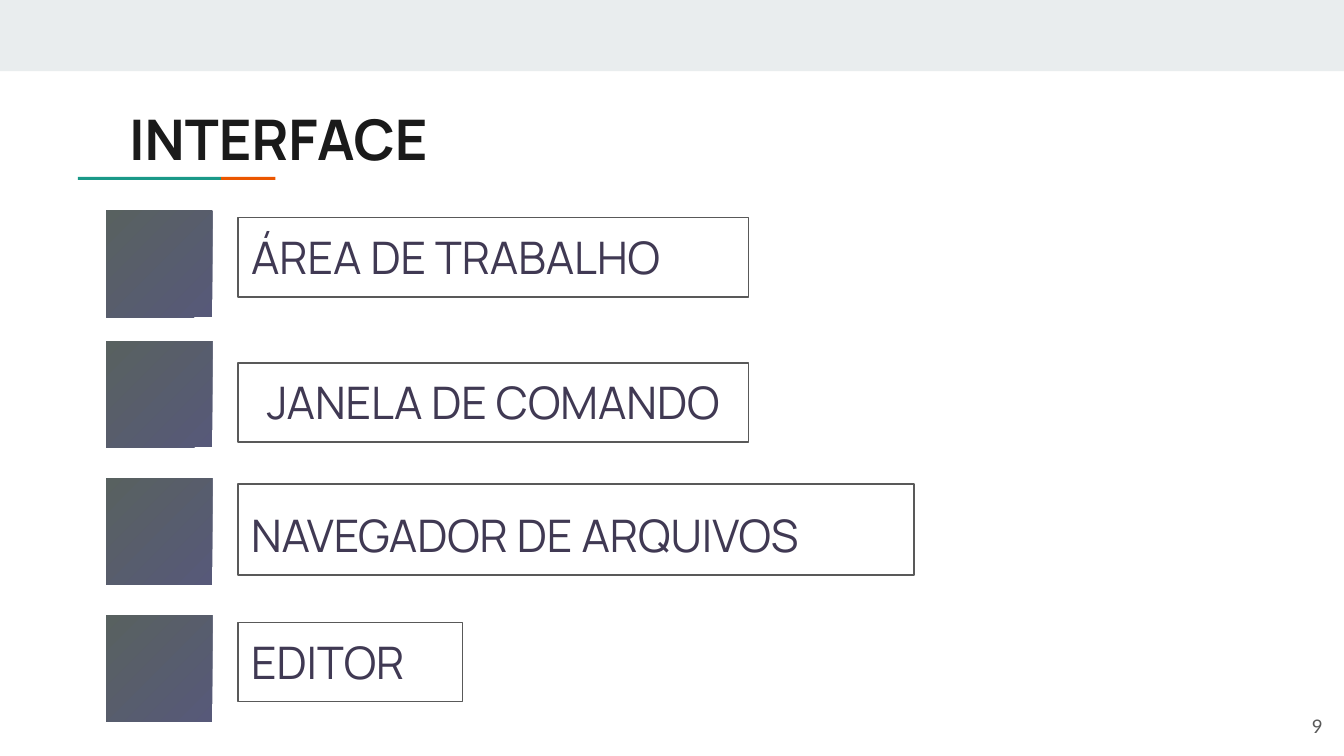
from dataclasses import dataclass

from pptx import Presentation
from pptx.dml.color import RGBColor
from pptx.enum.shapes import MSO_SHAPE
from pptx.enum.text import MSO_ANCHOR, PP_ALIGN
from pptx.util import Inches, Pt

RECT = MSO_SHAPE.RECTANGLE
TOP, MIDDLE, BOTTOM = MSO_ANCHOR.TOP, MSO_ANCHOR.MIDDLE, MSO_ANCHOR.BOTTOM
LEFT, CENTER, RIGHT = PP_ALIGN.LEFT, PP_ALIGN.CENTER, PP_ALIGN.RIGHT

BAND = RGBColor(0xE9, 0xED, 0xEE)
TEAL = RGBColor(0x1A, 0x99, 0x88)
ORANGE = RGBColor(0xEB, 0x56, 0x00)
INK = RGBColor(0x1A, 0x1A, 0x1A)
GREY = RGBColor(0x59, 0x59, 0x59)
PLUM = RGBColor(0x40, 0x39, 0x53)
VIOLET = RGBColor(0x57, 0x59, 0x79)
MOSS = RGBColor(0x58, 0x61, 0x60)

WIDTH, HEIGHT = Inches(10), Inches(5.625)


@dataclass(frozen=True)
class Box:
    """Percent shares of the slide's width and height."""
    x: float
    y: float
    w: float
    h: float

    def emu(self) -> tuple:
        return (int(WIDTH * self.x / 100), int(HEIGHT * self.y / 100),
                int(WIDTH * self.w / 100), int(HEIGHT * self.h / 100))


@dataclass(frozen=True)
class Item:
    text: str
    square_y: float
    label_y: float
    label_w: float
    label_h: float = 10.49
    align: PP_ALIGN = LEFT


ITEMS = [
    Item("ÁREA DE TRABALHO", 27.91, 28.8, 38),
    Item("JANELA DE COMANDO", 45.16, 48, 38, align=CENTER),
    Item("NAVEGADOR DE ARQUIVOS", 63.29, 64, 50.3, 12.09),
    Item("EDITOR", 81.42, 82.31, 16.7),
]
BARS = [
    (Box(0, 0, 100, 9.42), BAND),
    (Box(5.8, 23.41, 10.65, 0.4), TEAL),
    (Box(16.45, 23.41, 4.05, 0.4), ORANGE),
]


def write(sp, text: str, color: RGBColor, anchor: MSO_ANCHOR,
          align: PP_ALIGN, **font) -> None:
    tf = sp.text_frame
    margins = dict.fromkeys(
        ("margin_left", "margin_top", "margin_right", "margin_bottom"), Inches(0.1))
    for name, value in {"word_wrap": True, "vertical_anchor": anchor, **margins}.items():
        setattr(tf, name, value)
    p = tf.paragraphs[0]
    for name, value in {"alignment": align, "line_spacing": 1.0, "space_before": Pt(0)}.items():
        setattr(p, name, value)
    r = p.add_run()
    r.text = text
    for name, value in font.items():
        setattr(r.font, name, value)
    r.font.color.rgb = color


def add_rect(s, box: Box):
    sp = s.shapes.add_shape(RECT, *box.emu())
    sp.shadow.inherit = False
    return sp


def add_bar(s, box: Box, color: RGBColor) -> None:
    sp = add_rect(s, box)
    sp.fill.solid()
    sp.fill.fore_color.rgb = color
    sp.line.fill.background()


def add_square(s, y: float) -> None:
    sp = add_rect(s, Box(7.9, y, 7.9, 14.04))
    sp.line.fill.background()
    sp.fill.gradient()
    sp.fill.gradient_angle = 135
    for stop, color, position in zip(sp.fill.gradient_stops, (VIOLET, MOSS), (0, 1)):
        stop.color.rgb = color
        stop.position = position


def add_label(s, item: Item) -> None:
    sp = add_rect(s, Box(17.7, item.label_y, item.label_w, item.label_h))
    sp.fill.background()
    sp.line.color.rgb = GREY
    sp.line.width = Pt(0.75)
    write(sp, item.text, PLUM, BOTTOM, item.align, name="Manrope", size=Pt(24), bold=False)


def main() -> None:
    prs = Presentation()
    prs.slide_width, prs.slide_height = WIDTH, HEIGHT
    s = prs.slides.add_slide(prs.slide_layouts[5])

    for box, color in BARS:
        add_bar(s, box, color)

    title = s.shapes.title
    title.left, title.top, title.width, title.height = Box(8.6, 12.09, 84.1, 10.49).emu()
    write(title, "INTERFACE", INK, TOP, LEFT, name="Manrope", size=Pt(30), bold=True)

    number = s.shapes.add_textbox(*Box(93.4, 92.27, 6, 7.64).emu())
    write(number, "9", GREY, MIDDLE, RIGHT, name="Lato", size=Pt(10))

    for item in ITEMS:
        add_square(s, item.square_y)
        add_label(s, item)

    prs.save("out.pptx")


if __name__ == "__main__":
    main()
